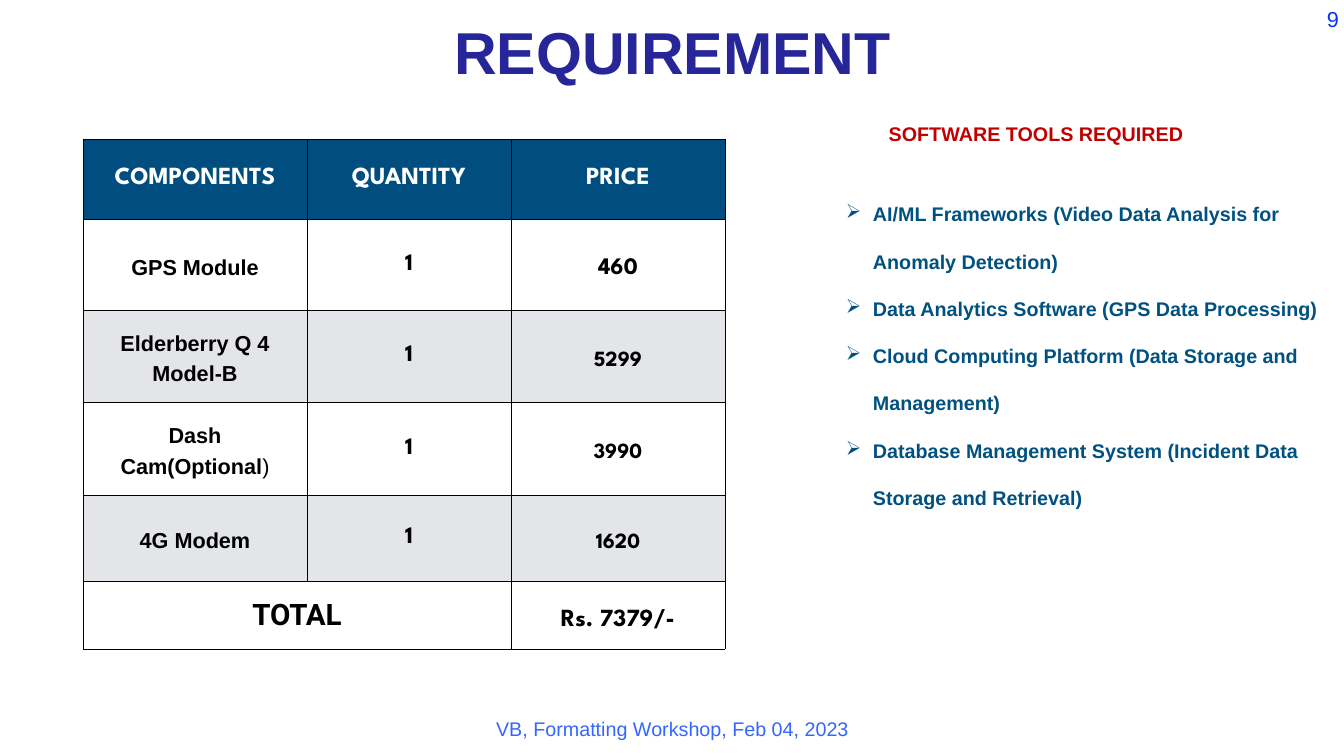
import pptx
import pptx.util
import pptx.dml.color
import pptx.enum.text
import pptx.oxml
import pptx.oxml.ns

PX = 914400 / 70.9
ALIGN = pptx.enum.text.PP_ALIGN
ANCHOR = pptx.enum.text.MSO_ANCHOR
FIT = pptx.enum.text.MSO_AUTO_SIZE

HEADERS = ["COMPONENTS", "QUANTITY", "PRICE"]
COMPONENTS = [
    (["GPS Module"], "1", "460", 24),
    (["Elderberry Q 4 Model-B"], "1", "5299", 22),
    (["Dash Cam(Optional", ")"], "1", "3990", 22),
    (["4G Modem"], "1", "1620", 22),
]
TOTAL = ("TOTAL", "Rs. 7379/-")
COLUMN_WIDTHS = [224, 204, 214]
ROW_HEIGHTS = [80, 91, 92, 93, 86, 68]
TABLE_LEFT, TABLE_TOP = 83, 139
TOOLS = [
    "AI/ML Frameworks (Video Data Analysis for Anomaly Detection)",
    "Data Analytics Software (GPS Data Processing)",
    "Cloud Computing Platform (Data Storage and Management)",
    "Database Management System (Incident Data Storage and Retrieval)",
]
TIGHT, WIDE = (10, 5), (15, 15)


def px(length):
    return pptx.util.Emu(round(length * PX))


def color(value):
    return pptx.dml.color.RGBColor.from_string(value)


def set_font(font, size, name, fill, bold):
    font.size = pptx.util.Pt(size)
    font.name = name
    font.bold = bold
    font.color.rgb = color(fill)


def set_margins(target, across, down):
    target.margin_left = target.margin_right = px(across)
    target.margin_top = target.margin_bottom = px(down)


def add_text(page, place, lines, size, fill, bold=False, align=ALIGN.CENTER,
             inset=5, wrap=True, anchor=ANCHOR.TOP):
    box = page.shapes.add_textbox(*[px(length) for length in place])
    frame = box.text_frame
    frame.text = "\n".join(lines)
    frame.word_wrap = wrap
    frame.auto_size = FIT.SHAPE_TO_FIT_TEXT
    frame.vertical_anchor = anchor
    set_margins(frame, inset, inset)
    for para in frame.paragraphs:
        para.alignment = align
        set_font(para.font, size, "Arial", fill, bold)
    return frame


def add_bullet(para):
    properties = para._p.get_or_add_pPr()
    properties.set("marL", str(px(27)))
    properties.set("indent", str(px(-27)))
    namespace = pptx.oxml.ns.nsdecls("a")
    properties.insert_element_before(
        pptx.oxml.parse_xml(f'<a:buChar {namespace} char="➢"/>'),
        "a:tabLst", "a:defRPr", "a:extLst")


def add_borders(cell):
    properties = cell._tc.get_or_add_tcPr()
    namespace = pptx.oxml.ns.nsdecls("a")
    for index, side in enumerate("LRTB"):
        properties.insert(index, pptx.oxml.parse_xml(
            f'<a:ln{side} {namespace} w="12700"><a:solidFill>'
            f'<a:srgbClr val="000000"/></a:solidFill></a:ln{side}>'))


def fill_cell(cell, texts, size, name, inset, ink="000000", spacing=None, before=None):
    cell.vertical_anchor = ANCHOR.MIDDLE
    set_margins(cell, *inset)
    para = cell.text_frame.paragraphs[0]
    para.alignment = ALIGN.CENTER
    if spacing:
        para.line_spacing = pptx.util.Pt(spacing)
    if before:
        para.space_before = pptx.util.Pt(before)
    set_font(para.font, size, name, ink, True)
    for index, text in enumerate(texts):
        span = para.add_run()
        span.text = text
        if index:
            span.font.bold = False


def add_price_table(page):
    table = page.shapes.add_table(
        len(ROW_HEIGHTS), len(COLUMN_WIDTHS), px(TABLE_LEFT), px(TABLE_TOP),
        px(sum(COLUMN_WIDTHS)), px(sum(ROW_HEIGHTS))).table
    for column, width in zip(table.columns, COLUMN_WIDTHS):
        column.width = px(width)
    for number, (row, height) in enumerate(zip(table.rows, ROW_HEIGHTS)):
        row.height = px(height)
        shade = "004D80" if number == 0 else ("FFFFFF" if number % 2 else "E3E5E8")
        for cell in row.cells:
            cell.fill.solid()
            cell.fill.fore_color.rgb = color(shade)
            add_borders(cell)
    for column, header in enumerate(HEADERS):
        fill_cell(table.cell(0, column), [header], 25, "League Spartan", TIGHT,
                  ink="FFFFFF", before=13)
    for row, (name, quantity, price, size) in enumerate(COMPONENTS, 1):
        fill_cell(table.cell(row, 0), name, 22, "Arial", WIDE, spacing=30.8)
        fill_cell(table.cell(row, 1), [quantity], 24, "League Spartan", TIGHT, before=13)
        fill_cell(table.cell(row, 2), [price], size, "League Spartan", WIDE, spacing=30.8)
    last = len(ROW_HEIGHTS) - 1
    table.cell(last, 0).merge(table.cell(last, 1))
    fill_cell(table.cell(last, 0), [TOTAL[0]], 30, "Roboto", WIDE)
    fill_cell(table.cell(last, 2), [TOTAL[1]], 25, "League Spartan", WIDE, spacing=35)


def main():
    deck = pptx.Presentation()
    deck.slide_width, deck.slide_height = px(1344), px(756)
    page = deck.slides.add_slide(deck.slide_layouts[5])

    title = page.shapes.title
    title.left, title.top, title.width, title.height = px(96), px(9), px(1153), px(83)
    frame = title.text_frame
    frame.text = "REQUIREMENT"
    frame.auto_size = FIT.NONE
    frame.vertical_anchor = ANCHOR.MIDDLE
    set_margins(frame, 5, 5)
    frame.paragraphs[0].alignment = ALIGN.CENTER
    set_font(frame.paragraphs[0].font, 60, "Arial", "262699", True)

    add_price_table(page)
    add_text(page, (883, 118, 306, 32), ["SOFTWARE TOOLS REQUIRED"], 20, "C00000",
             bold=True, inset=4, wrap=False, anchor=ANCHOR.MIDDLE)
    tools = add_text(page, (842, 173, 503, 342), TOOLS, 20, "005180", bold=True,
                     align=ALIGN.LEFT, inset=4, anchor=ANCHOR.MIDDLE)
    for para in tools.paragraphs:
        para.line_spacing = 2.0
        add_bullet(para)
    add_text(page, (1307, 1, 37, 36), ["9"], 22, "0433FF", align=ALIGN.RIGHT, wrap=False)
    add_text(page, (138, 712, 1069, 34), ["VB, Formatting Workshop, Feb 04, 2023"],
             20, "3366FF")
    deck.save("out.pptx")


if __name__ == "__main__":
    main()
